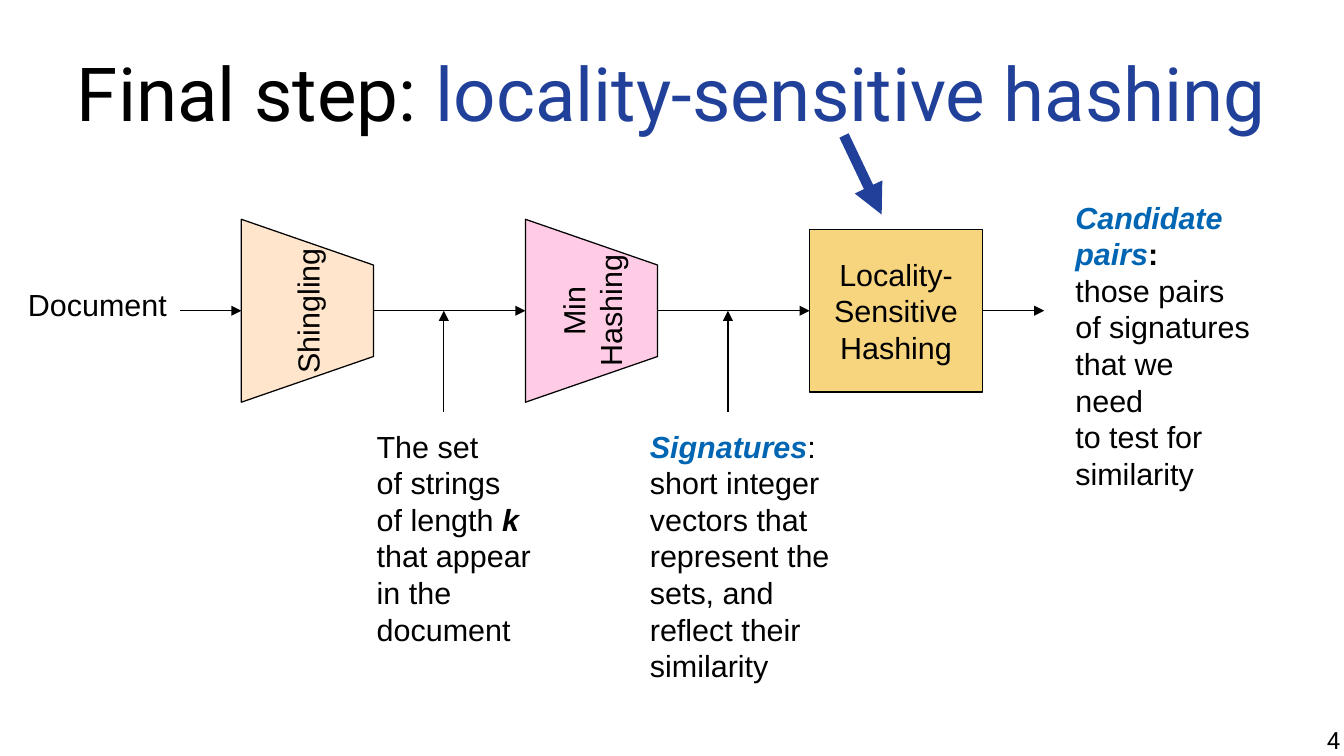
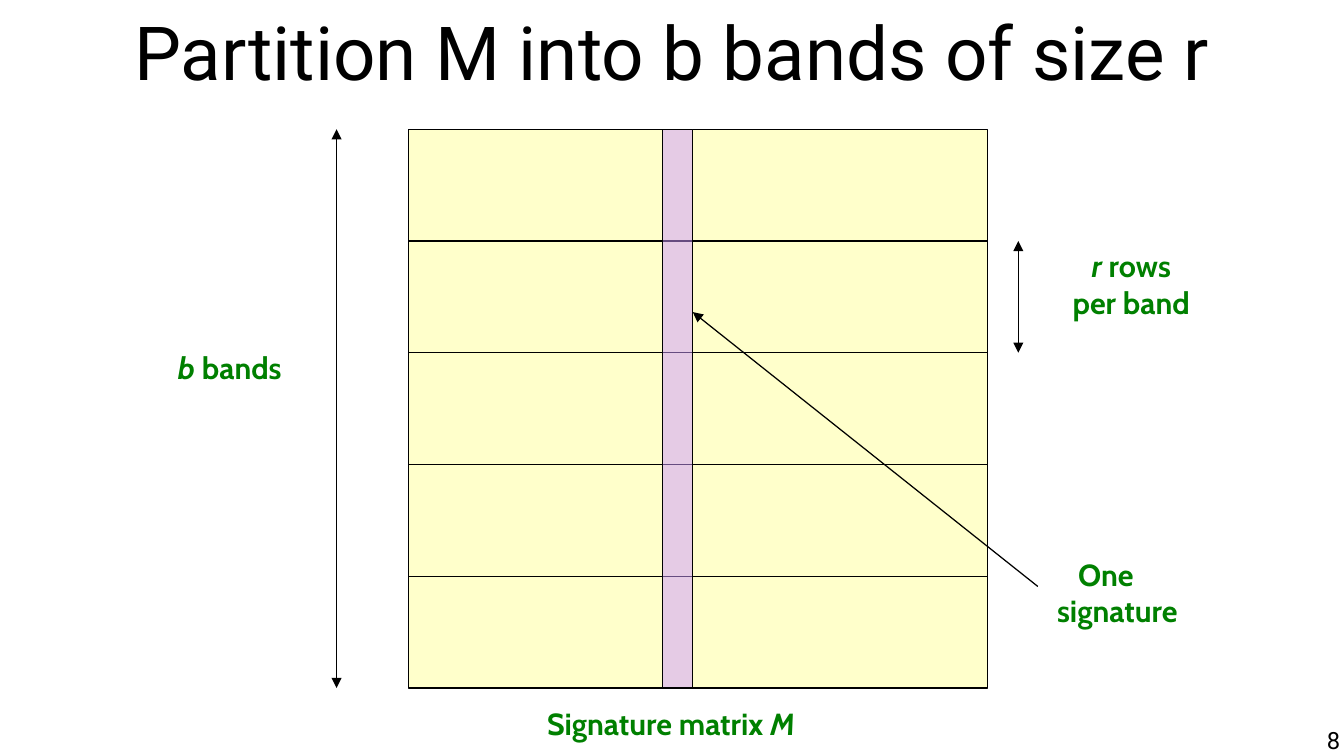
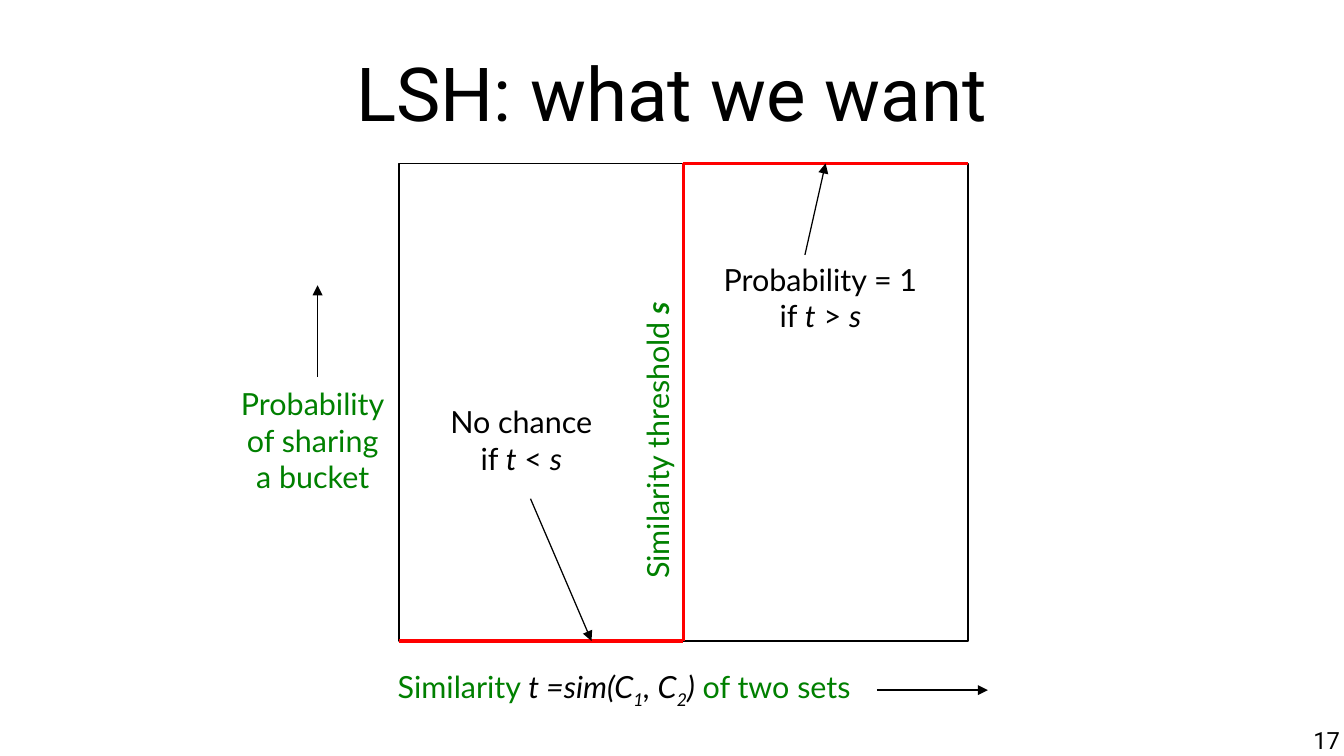
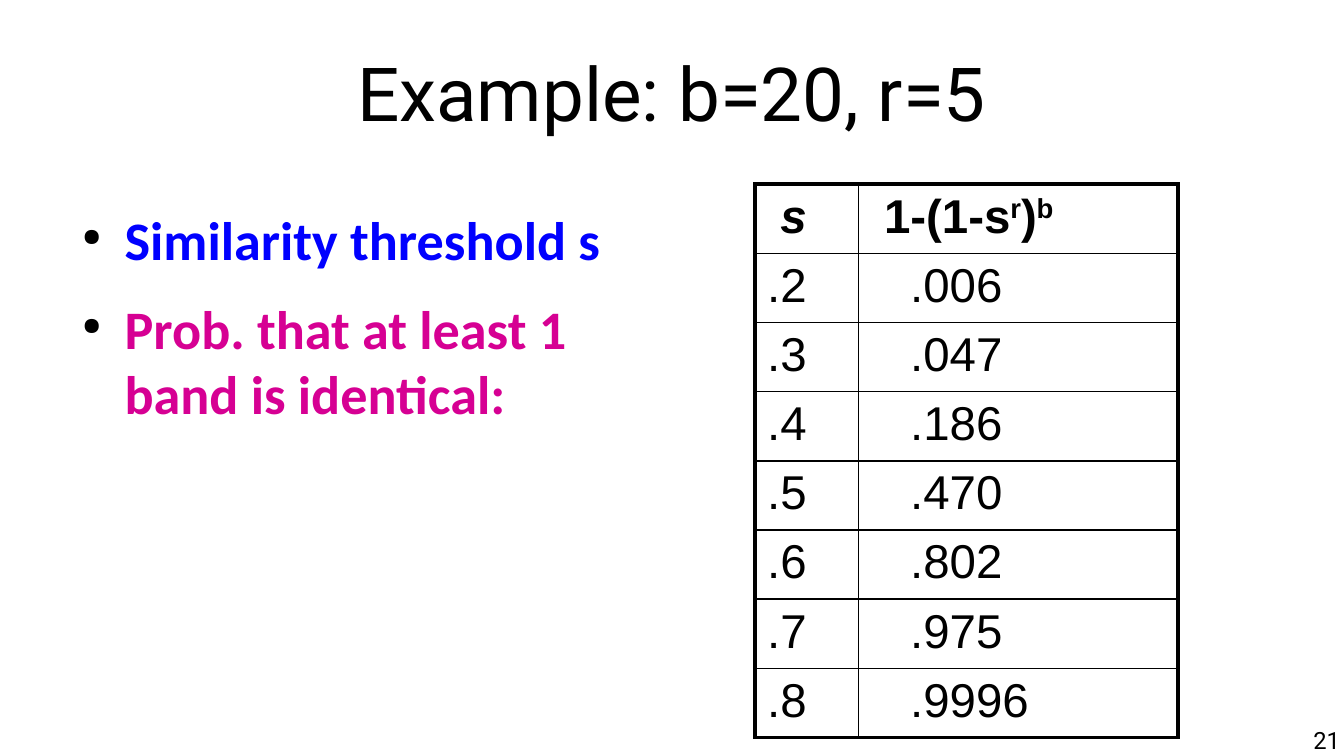
from pptx import Presentation
from pptx.dml.color import RGBColor
from pptx.enum.shapes import MSO_CONNECTOR as Connector, MSO_SHAPE as Preset
from pptx.enum.text import MSO_ANCHOR as Anchor, PP_ALIGN as Align
from pptx.oxml.ns import qn
from pptx.util import Pt
from lxml.etree import SubElement, Element

# Shared look
color = RGBColor.from_string
BLACK, NAVY, BLUE, GREEN, RED = "000000", "21409A", "0066B3", "008000", "FF0000"
LEFT, CENTER, RIGHT = Align.LEFT, Align.CENTER, Align.RIGHT
BOLD, ITALIC, BOTH = {"bold": True}, {"italic": True}, {"bold": True, "italic": True}
KEY = {"color": BLUE, **BOTH}


def write(text_frame, lines, font="Arial", size=18, base=BLACK, align=LEFT, bold=False):
    """Fill a text frame; a line is a string or a list of (text, style) runs."""
    text_frame.word_wrap = True
    for index, line in enumerate(lines):
        paragraph = text_frame.add_paragraph() if index else text_frame.paragraphs[0]
        paragraph.alignment = align
        for text, style in [(line, {})] if isinstance(line, str) else line:
            run = paragraph.add_run()
            run.text = text
            run.font.name, run.font.size = font, Pt(size)
            run.font.bold = style.get("bold", bold)
            run.font.italic = style.get("italic", False)
            run.font.color.rgb = color(style.get("color", base))
            if "baseline" in style:
                run.font._element.set("baseline", str(style["baseline"] * 1000))


def add_line(slide, x1, y1, x2, y2, ends=("tailEnd",), line_color=BLACK, width=0.75):
    line = slide.shapes.add_connector(Connector.STRAIGHT, Pt(x1), Pt(y1), Pt(x2), Pt(y2))
    line.line.color.rgb = color(line_color)
    line.line.width = Pt(width)
    for end in ends:
        SubElement(line.line._get_or_add_ln(), qn("a:" + end), type="triangle")
    SubElement(line._element.spPr, qn("a:effectLst"))
    return line


presentation = Presentation()
presentation.slide_width, presentation.slide_height = Pt(793.44), Pt(446.4)

# Titles and slide numbers
titles = [
    ([("Final step: ", {}), ("locality-sensitive hashing", {"color": NAVY})], 24.4, "4"),
    ("Partition M into b bands of size r", 0, "8"),
    ("LSH: what we want", 24.4, "17"),
    ("Example: b=20, r=5", 24.4, "21"),
]
slides = []
for title, top, number in titles:
    slide = presentation.slides.add_slide(presentation.slide_layouts[6])
    slides.append(slide)
    for box, line, size, align, anchor in [
        ((39.6, top, 714.24, 60), title, 44, CENTER, Anchor.MIDDLE),
        ((606.2, 428.4, 185, 18), number, 14, RIGHT, Anchor.TOP),
    ]:
        frame = slide.shapes.add_textbox(*map(Pt, box)).text_frame
        frame.margin_left = frame.margin_right = frame.margin_top = frame.margin_bottom = 0
        frame.vertical_anchor = anchor
        write(frame, [line], "Roboto", size, align=align)
pipeline, bands, ideal, example = slides
filled = []

# Slide 1: the pipeline stages
FLOW_Y, STAGE_X, STAGE_PITCH, STAGE_WIDTH = 183.5, 142.5, 167.75, 78
for index, (lines, fill) in enumerate([(["Shingling"], "FFCC99"), (["Min", "Hashing"], "FF99CC")]):
    left = STAGE_X + index * STAGE_PITCH
    center, half = left + STAGE_WIDTH / 2, STAGE_WIDTH / 2
    # Wide edge on top; the turn brings it to the left
    builder = pipeline.shapes.build_freeform(Pt(center - 54), Pt(FLOW_Y - half))
    builder.add_line_segments([
        (Pt(center + 54), Pt(FLOW_Y - half)),
        (Pt(center + 27), Pt(FLOW_Y + half)),
        (Pt(center - 27), Pt(FLOW_Y + half)),
    ])
    stage = builder.convert_to_shape()
    stage.rotation = 270
    stage.text_frame.vertical_anchor = Anchor.MIDDLE
    write(stage.text_frame, lines, align=CENTER)
    filled.append((stage, fill, 50))

hashing_x = STAGE_X + 2 * STAGE_PITCH
hashing = pipeline.shapes.add_shape(Preset.RECTANGLE, Pt(hashing_x), Pt(FLOW_Y - 48), Pt(102), Pt(96))
write(hashing.text_frame, ["Locality-", "Sensitive", "Hashing"], align=CENTER)
filled.append((hashing, "F0AD00", 50))

# Slide 1: arrows
add_line(pipeline, 106.5, FLOW_Y, STAGE_X, FLOW_Y)
for index in range(2):
    left = STAGE_X + index * STAGE_PITCH
    flow = add_line(pipeline, left + STAGE_WIDTH, FLOW_Y, left + STAGE_PITCH, FLOW_Y)
    add_line(pipeline, left + 119.5, 243.5, left + 119.5, FLOW_Y)
flow.end_connect(hashing, 1)
result = add_line(pipeline, hashing_x + 102, FLOW_Y, 616.5, FLOW_Y)
result.begin_connect(hashing, 3)
add_line(pipeline, 498.3, 80, 520.5, 126.7, line_color=NAVY, width=6)

# Slide 1: explanations
for box, lines in [
    ((9.4, 165.6, 105, 29), ["Document"]),
    ((215.3, 249, 120, 137), ["The set", "of strings", [("of length ", {}), ("k", BOTH)],
                              "that appear", "in the", "document"]),
    ((376.6, 249, 130, 158), [[("Signatures", KEY), (":", {})], "short integer", "vectors that",
                              "represent the", "sets, and", "reflect their", "similarity"]),
    ((627.8, 113.8, 130, 180), [[("Candidate", KEY)], [("pairs", KEY), (":", BOLD)], "those pairs",
                                "of signatures", "that we", "need", "to test for", "similarity"]),
]:
    write(pipeline.shapes.add_textbox(*map(Pt, box)).text_frame, lines)

# Slide 2: matrix cut into bands
MATRIX_X, MATRIX_Y, MATRIX_WIDTH, BAND, BAND_COUNT = 241, 76.3, 342, 66, 5
MATRIX_HEIGHT = BAND * BAND_COUNT
matrix, signature = [
    bands.shapes.add_shape(Preset.RECTANGLE, Pt(left), Pt(MATRIX_Y), Pt(width), Pt(MATRIX_HEIGHT))
    for left, width in [(MATRIX_X, MATRIX_WIDTH), (391, 18)]
]
filled += [(matrix, "FFFF99", 50), (signature, "CC99FF", 50)]
for index in range(1, BAND_COUNT):
    y = MATRIX_Y + index * BAND
    divider = add_line(bands, MATRIX_X, y, MATRIX_X + MATRIX_WIDTH, y, ends=())
    matrix._element.addnext(divider._element)

# Slide 2: dimensions and labels
both_ends = ("headEnd", "tailEnd")
add_line(bands, 601.2, MATRIX_Y + BAND, 601.2, MATRIX_Y + 2 * BAND, both_ends)
add_line(bands, 198.7, MATRIX_Y, 198.7, MATRIX_Y + MATRIX_HEIGHT, both_ends)
add_line(bands, 612.7, 346.3, 409, 184.3)
for box, lines, align in [
    ((300.2, 412.6, 192, 29), [[("Signature matrix ", {}), ("M", ITALIC)]], CENTER),
    ((620.6, 142.6, 94.5, 50), [[("r", ITALIC), (" rows", {})], "per band"], CENTER),
    ((91.4, 202.3, 88.6, 29), [[("b", ITALIC), (" bands", {})]], CENTER),
    ((617, 324.7, 101, 50), ["One", "signature"], LEFT),
]:
    frame = bands.shapes.add_textbox(*map(Pt, box)).text_frame
    write(frame, lines, "Cabin", base=GREEN, align=align, bold=True)
frame.paragraphs[0]._p.get_or_add_pPr().set("marL", str(Pt(12.4)))

# Slide 3: step function
PLOT_X, PLOT_Y, PLOT_WIDTH, PLOT_HEIGHT = 235.5, 96.5, 336, 282
middle, right, bottom = PLOT_X + PLOT_WIDTH / 2, PLOT_X + PLOT_WIDTH, PLOT_Y + PLOT_HEIGHT
plot = ideal.shapes.add_shape(Preset.RECTANGLE, Pt(PLOT_X), Pt(PLOT_Y), Pt(PLOT_WIDTH), Pt(PLOT_HEIGHT))
filled.append((plot, None, 0))
low, rise, high = [
    add_line(ideal, *ends, ends=(), line_color=RED, width=2)
    for ends in [(PLOT_X, bottom, middle, bottom), (middle, bottom, middle, PLOT_Y),
                 (middle, PLOT_Y, right, PLOT_Y)]
]
low.end_connect(plot, 2)
rise.begin_connect(plot, 2)
rise.end_connect(plot, 0)
high.begin_connect(plot, 0)

# Slide 3: arrows and labels
for ends in [(517.7, 407.5, 583.2, 407.5), (187.5, 222.5, 187.5, 168.5),
             (313.2, 294.5, 349.2, bottom), (475.2, 150.5, 487.4, PLOT_Y)]:
    add_line(ideal, *ends)
formula = {"color": BLACK, "italic": True}
subscript = {"baseline": -25, **formula}
for box, lines, base, align, rotation in [
    ((227.7, 391, 290, 32), [[("Similarity ", {}), ("t =sim(C", formula), ("1", subscript),
                              (", C", formula), ("2", subscript), (")", formula),
                              (" of two sets", {})]], GREEN, LEFT, 0),
    ((129.6, 224, 110, 72), ["Probability", "of sharing", "a bucket"], GREEN, CENTER, 0),
    ((292.3, 245.5, 191.5, 29), [[("Similarity threshold ", {}), ("s", BOTH)]], GREEN, CENTER, 270),
    ((256.3, 234.7, 103, 50), ["No chance", [("if ", {}), ("t", ITALIC), (" < ", {}), ("s", ITALIC)]],
     BLACK, CENTER, 0),
    ((415.4, 150.5, 138, 50), ["Probability = 1", [("if ", {}), ("t", ITALIC), (" > ", {}), ("s", ITALIC)]],
     BLACK, CENTER, 0),
]:
    label = ideal.shapes.add_textbox(*map(Pt, box))
    label.rotation = rotation
    write(label.text_frame, lines, "Lato", base=base, align=align)

# Slide 4: bullets
frame = example.shapes.add_textbox(Pt(39.6), Pt(121.7), Pt(338.4), Pt(259.2)).text_frame
frame.margin_left = frame.margin_right = frame.margin_top = frame.margin_bottom = 0
write(frame, [[("Similarity threshold s", {"color": "0000FF"})],
              [("Prob. that at least 1 band is identical:", {"color": "D60093"})]],
      "Calibri", 32, bold=True)
frame.paragraphs[1].space_before = Pt(14.2)
for paragraph in frame.paragraphs:
    properties = paragraph._p.get_or_add_pPr()
    properties.set("marL", str(Pt(34)))
    properties.set("indent", str(Pt(-25)))
    SubElement(SubElement(properties, qn("a:buClr")), qn("a:srgbClr"), val=BLACK)
    SubElement(properties, qn("a:buSzPct"), val="45000")
    SubElement(properties, qn("a:buChar"), char="●")

# Slide 4: table
superscript = {"baseline": 30, **BOLD}
rows = [
    ([("s", BOTH)], [("1-(1-s", BOLD), ("r", superscript), (")", BOLD), ("b", superscript)]),
    (".2", ".006"), (".3", ".047"), (".4", ".186"), (".5", ".470"),
    (".6", ".802"), (".7", ".975"), (".8", ".9996"),
]
ROW_HEIGHT = 40.5
table = example.shapes.add_table(len(rows), 2, Pt(445.7), Pt(108.7), Pt(249.8),
                                 Pt(ROW_HEIGHT * len(rows))).table
table.first_row = table.horz_banding = False
for column, width in zip(table.columns, (61.2, 188.6)):
    column.width = Pt(width)
for row_index, row in enumerate(rows):
    table.rows[row_index].height = Pt(ROW_HEIGHT)
    for column_index, content in enumerate(row):
        cell = table.cell(row_index, column_index)
        cell.margin_left = Pt(15 if row_index == 0 else (7.2, 30.5)[column_index])
        write(cell.text_frame, [content], size=28)
        cell.fill.background()
        outer = [("L", column_index == 0), ("R", column_index == 1),
                 ("T", row_index == 0), ("B", row_index == len(rows) - 1)]
        for position, (side, is_outer) in enumerate(outer):
            border = Element(qn("a:ln" + side), w=str(Pt(2.21 if is_outer else 0.96)))
            SubElement(SubElement(border, qn("a:solidFill")), qn("a:srgbClr"), val=BLACK)
            cell._tc.get_or_add_tcPr().insert(position, border)

# Fills and outlines of all shapes
for shape, fill, opacity in filled:
    shape.shadow.inherit = False
    shape.line.color.rgb = color(BLACK)
    shape.line.width = Pt(0.75)
    if fill is None:
        shape.fill.background()
        continue
    shape.fill.solid()
    shape.fill.fore_color.rgb = color(fill)
    solid = shape._element.spPr.find(qn("a:solidFill"))
    SubElement(solid[0], qn("a:alpha"), val=str(opacity * 1000))

presentation.save("out.pptx")
